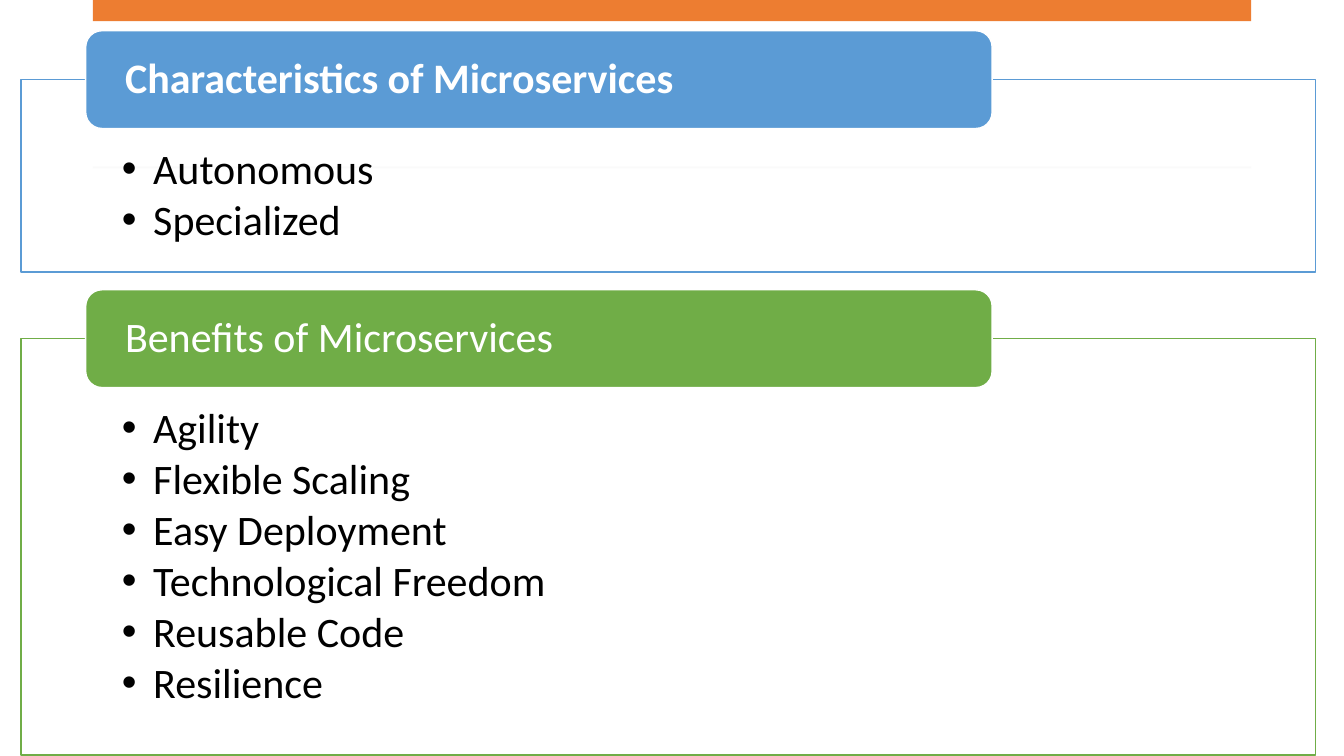
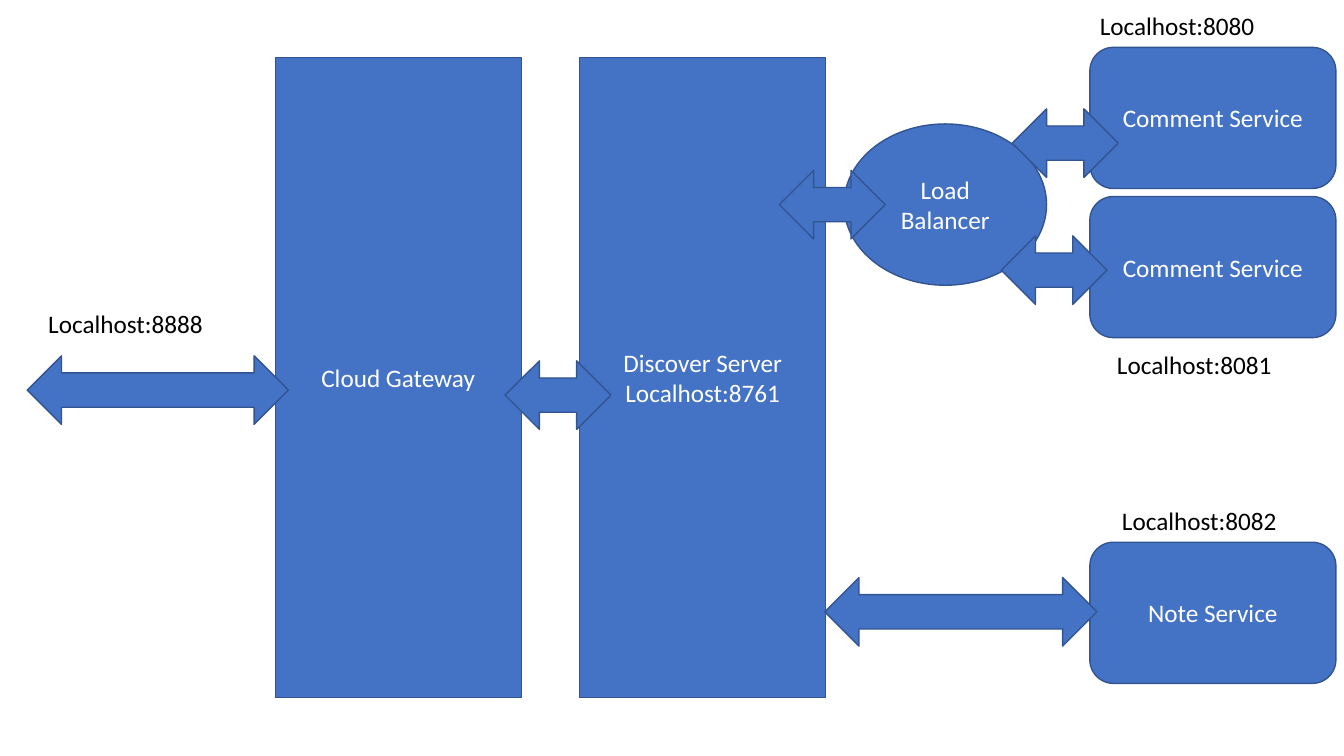
from lxml import etree
from pptx import Presentation
from pptx.dml.color import RGBColor
from pptx.enum import shapes, text
from pptx.oxml.ns import qn
from pptx.util import Inches, Pt

# Shared look
WHITE = RGBColor(0xFF, 0xFF, 0xFF)
BLACK = RGBColor(0x00, 0x00, 0x00)
ORANGE = RGBColor(0xED, 0x7D, 0x31)
GREY = RGBColor(0xD5, 0xD5, 0xD5)
SKY = RGBColor(0x5B, 0x9B, 0xD5)
GREEN = RGBColor(0x70, 0xAD, 0x47)
BLUE = RGBColor(0x44, 0x72, 0xC4)
NAVY = RGBColor(0x32, 0x54, 0x91)
FONT = "Calibri"
SLIDE_W, SLIDE_H = 13.33, 7.5
KIND = shapes.MSO_SHAPE
MIDDLE, TOP = text.MSO_ANCHOR.MIDDLE, text.MSO_ANCHOR.TOP
LEFT, CENTER = text.PP_ALIGN.LEFT, text.PP_ALIGN.CENTER

# Slide 1 content: heading, bold, colour, frame height, items
PANELS = [
    ("Characteristics of Microservices", True, SKY, 1.91,
     ["Autonomous", "Specialized"]),
    ("Benefits of Microservices", False, GREEN, 4.13,
     ["Agility", "Flexible Scaling", "Easy Deployment",
      "Technological Freedom", "Reusable Code", "Resilience"]),
]
BARS = [(0, 0.21, ORANGE), (1.65, 0.02, GREY)]  # top, height, colour
BAR_X, BAR_W = 0.92, 11.49
FRAME_X, FRAME_W, FRAME_TOP, FRAME_GAP = 0.21, 12.84, 0.79, 0.66
BANNER_X, BANNER_W, BANNER_H, BANNER_PAD = 0.85, 8.99, 0.97, 0.05

# Slide 2 content, on columns for gateway, server, balancer and services
GATEWAY_X, SERVER_X, BALANCER_X, SERVICE_X = 2.73, 5.75, 8.37, 10.81
BOX_W, SERVICE_H = 2.44, 1.4
PILLAR_Y, PILLAR_H = 0.57, 6.35
ARROW_W, ARROW_H = 1.05, 0.68
SERVICES = [("Comment Service", 0.47), ("Comment Service", 1.95),
            ("Note Service", 5.38)]
PILLARS = [(["Discover Server", "Localhost:8761"], SERVER_X),
           (["Cloud Gateway"], GATEWAY_X)]
ARROWS = [  # left, top, width
    (10.04, 1.08, ARROW_W), (9.93, 2.34, ARROW_W), (8.18, 5.73, 2.7),
    (5.01, 3.58, ARROW_W), (7.73, 1.69, ARROW_W), (0.27, 3.53, 2.59),
]
ADDRESSES = [  # text, left, top, width
    ("Localhost:8888", 0.38, 3.01, 1.85),
    ("Localhost:8080", SERVICE_X, 0.05, BOX_W),
    ("Localhost:8081", 10.98, 3.42, BOX_W),
    ("Localhost:8082", 11.03, 4.96, BOX_W),
]


def box(*lengths):
    return [Inches(v) for v in lengths]


def write(sp, lines, size=18, color=BLACK, bold=False, align=LEFT, anchor=TOP,
          margins=(0.1, 0.05, 0.1, 0.05), spacing=1.0, after=0, hang=None):
    tf = sp.text_frame
    tf.word_wrap = True
    tf.auto_size = text.MSO_AUTO_SIZE.NONE
    tf.vertical_anchor = anchor
    (tf.margin_left, tf.margin_top,
     tf.margin_right, tf.margin_bottom) = box(*margins)
    for i, line in enumerate(lines):
        p = tf.add_paragraph() if i else tf.paragraphs[0]
        p.alignment, p.line_spacing = align, spacing
        p.space_before, p.space_after = Pt(0), Pt(after)
        if hang:
            pPr = p._p.get_or_add_pPr()
            pPr.set("marL", str(Inches(hang)))
            pPr.set("indent", str(-Inches(hang)))
            etree.SubElement(pPr, qn("a:buChar")).set("char", "•")
        r = p.add_run()
        r.text = line
        r.font.name, r.font.size = FONT, Pt(size)
        r.font.bold, r.font.color.rgb = bold, color


def paint(sp, fill, line=None):
    sp.fill.solid()
    sp.fill.fore_color.rgb = fill
    if line is None:
        sp.line.fill.background()
    else:
        sp.line.color.rgb, sp.line.width = line, Pt(1)


def draw(slide, kind, area, fill, line=None):
    sp = slide.shapes.add_shape(kind, *box(*area))
    sp.shadow.inherit = False
    paint(sp, fill, line)
    return sp


def place(slide, sp, area):
    """Move a placeholder to an area and bring it to the front."""
    sp.left, sp.top, sp.width, sp.height = box(*area)
    slide.shapes._spTree.append(sp._element)


def node(slide, kind, area, lines=()):
    sp = draw(slide, kind, area, BLUE, NAVY)
    if lines:
        write(sp, lines, color=WHITE, align=CENTER, anchor=MIDDLE)


prs = Presentation()
prs.slide_width, prs.slide_height = box(SLIDE_W, SLIDE_H)

# Slide 1: two headed lists on the comparison layout
s = prs.slides.add_slide(prs.slide_layouts[4])
title, *fields = s.placeholders
title._element.getparent().remove(title._element)
for top, height, color in BARS:
    draw(s, KIND.RECTANGLE, (BAR_X, top, BAR_W, height), color)

top = FRAME_TOP
for (heading, bold, color, height, items), head, body in zip(
        PANELS, fields[::2], fields[1::2]):
    place(s, body, (FRAME_X, top, FRAME_W, height))
    paint(body, WHITE, color)
    white = body.fill._xPr.find(qn("a:solidFill"))[0]
    etree.SubElement(white, qn("a:alpha")).set("val", "90000")
    write(body, items, size=30, margins=(1, 0.68, 1, 0.23),
          spacing=0.9, after=4, hang=0.31)

    banner_y = top - BANNER_H / 2
    draw(s, KIND.ROUNDED_RECTANGLE,
         (BANNER_X, banner_y, BANNER_W, BANNER_H), color, WHITE)
    place(s, head, (BANNER_X + BANNER_PAD, banner_y + BANNER_PAD,
                    BANNER_W - 2 * BANNER_PAD, BANNER_H - 2 * BANNER_PAD))
    write(head, [heading], size=30, color=WHITE, bold=bold, anchor=MIDDLE,
          margins=(0.34, 0, 0.34, 0), spacing=0.9)
    top += height + FRAME_GAP

# Slide 2: service architecture
s = prs.slides.add_slide(prs.slide_layouts[6])
for name, y in SERVICES:
    node(s, KIND.ROUNDED_RECTANGLE, (SERVICE_X, y, BOX_W, SERVICE_H), [name])
node(s, KIND.OVAL, (BALANCER_X, 1.23, 2.01, 1.6), ["Load Balancer"])
for lines, x in PILLARS:
    node(s, KIND.RECTANGLE, (x, PILLAR_Y, BOX_W, PILLAR_H), lines)
for x, y, width in ARROWS:
    node(s, KIND.LEFT_RIGHT_ARROW, (x, y, width, ARROW_H))
for address, x, y, width in ADDRESSES:
    write(s.shapes.add_textbox(*box(x, y, width, 0.4)), [address])

prs.save("out.pptx")
